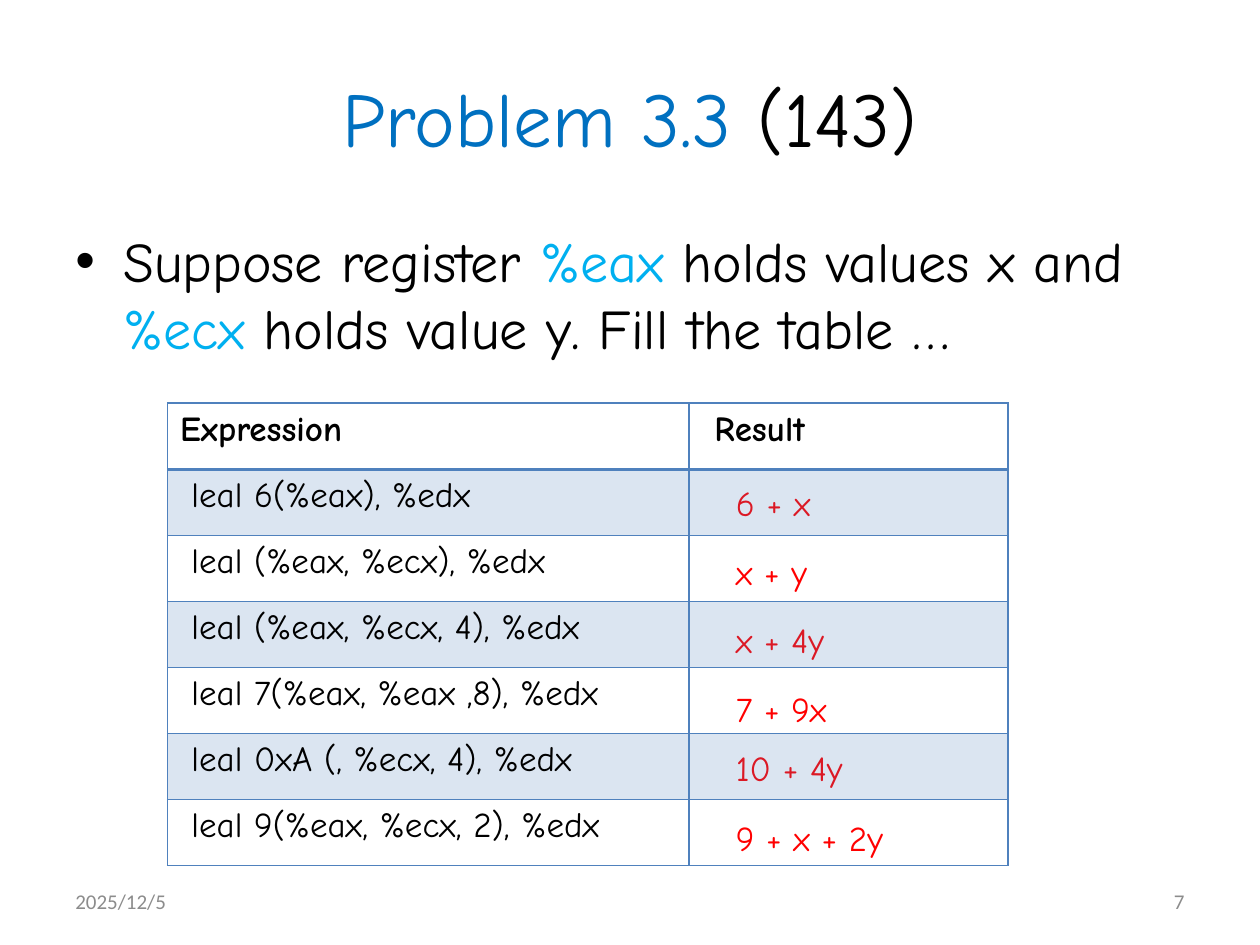
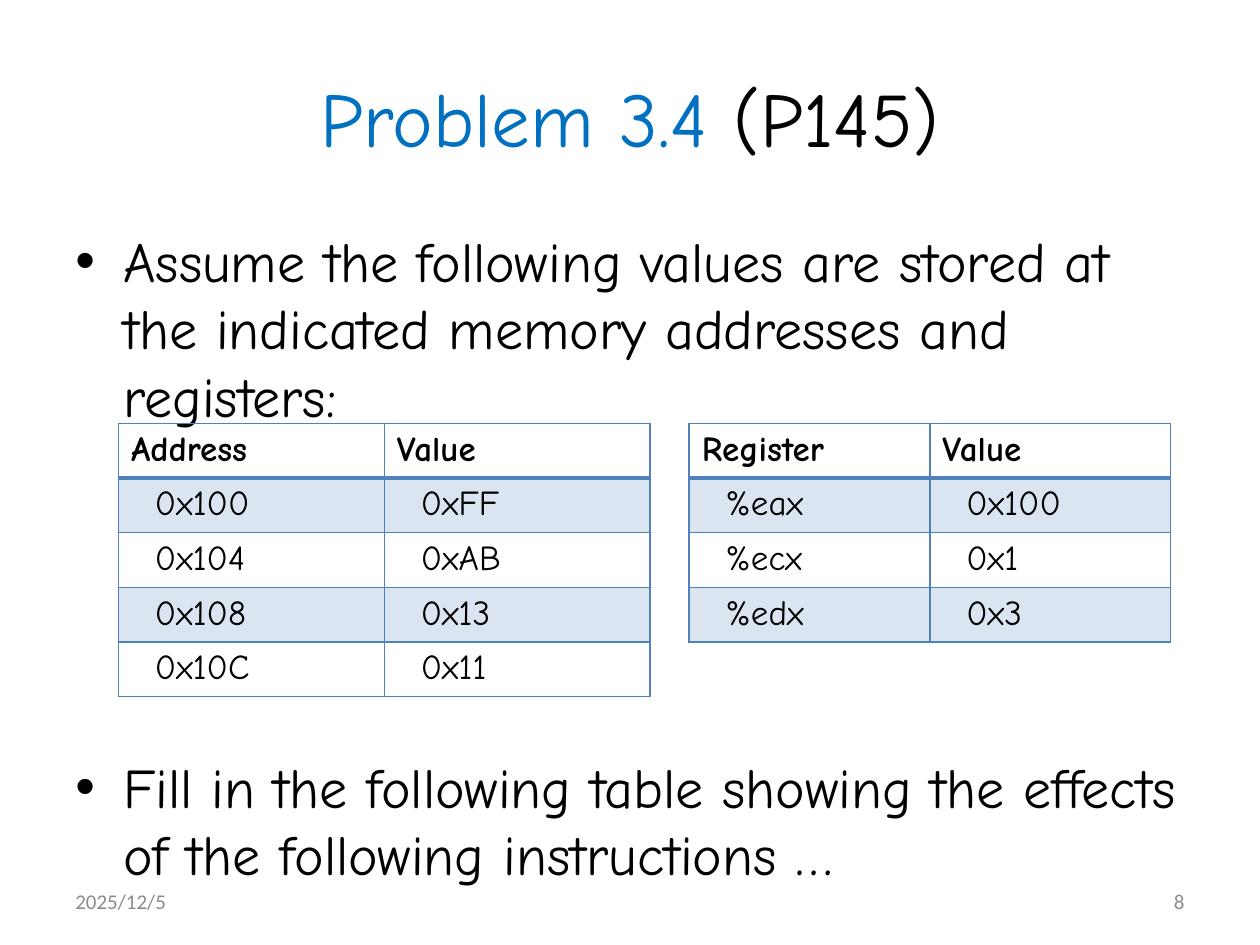
import dataclasses

import lxml.etree
import pptx
import pptx.dml.color
import pptx.enum.shapes
import pptx.enum.text
import pptx.oxml.ns
import pptx.util

Inches = pptx.util.Inches
Pt = pptx.util.Pt
PP_ALIGN = pptx.enum.text.PP_ALIGN
ANCHOR = pptx.enum.text.MSO_ANCHOR


@dataclasses.dataclass(frozen=True)
class Theme:
    font: str = "Comic Neue"
    footer_font: str = "Calibri"
    ink: str = "000000"
    paper: str = "FFFFFF"
    heading: str = "0070C0"
    register: str = "00B0F0"
    answer: str = "FF0000"
    footer: str = "8C8C8C"
    grid: str = "4F81BD"
    band_alpha: int = 20
    title_size: int = 44
    body_size: int = 32
    table_size: int = 20
    footer_size: int = 12


THEME = Theme()
DATE = "2025/12/5"
BULLET_INDENT = 0.38
CELL_MARGIN = 0.1


def rgb(code):
    return pptx.dml.color.RGBColor.from_string(code)


def add_run(paragraph, text, size, color=THEME.ink, font=THEME.font, bold=False):
    run = paragraph.add_run()
    run.text = text
    run.font.name = font
    run.font.size = Pt(size)
    run.font.bold = bold
    run.font.color.rgb = rgb(color)


def add_child(parent, tag, **attributes):
    child = lxml.etree.SubElement(parent, pptx.oxml.ns.qn(tag))
    for name, value in attributes.items():
        child.set(name, str(value))
    return child


def add_title(slide, heading, page_reference):
    title = slide.shapes.title
    title.left, title.top = Inches(0.5), Inches(0.3)
    title.width, title.height = Inches(9), Inches(1.25)
    frame = title.text_frame
    frame.auto_size = pptx.enum.text.MSO_AUTO_SIZE.NONE
    frame.vertical_anchor = ANCHOR.MIDDLE
    paragraph = frame.paragraphs[0]
    paragraph.alignment = PP_ALIGN.CENTER
    add_run(paragraph, heading + " ", THEME.title_size, THEME.heading)
    add_run(paragraph, page_reference, THEME.title_size)


def add_text_frame(slide, left, top, width, height):
    box = slide.shapes.add_textbox(
        Inches(left), Inches(top), Inches(width), Inches(height))
    box.text_frame.word_wrap = True
    return box.text_frame


def add_bullets(slide, height, bullets):
    """Each bullet is (space before in points, [(text, colour), ...])."""
    frame = add_text_frame(slide, 0.5, 1.75, 9, height)
    for index, (space_before, pieces) in enumerate(bullets):
        paragraph = frame.add_paragraph() if index else frame.paragraphs[0]
        paragraph.space_before = Pt(space_before)
        for text, color in pieces:
            add_run(paragraph, text, THEME.body_size, color)
        properties = paragraph._p.get_or_add_pPr()
        properties.set("marL", str(Inches(BULLET_INDENT)))
        properties.set("indent", str(-Inches(BULLET_INDENT)))
        add_child(properties, "a:buFont", typeface="Arial")
        add_child(properties, "a:buChar", char="•")


def add_footer(slide, page_number):
    for left, text, alignment in ((0.5, DATE, PP_ALIGN.LEFT),
                                  (7.17, page_number, PP_ALIGN.RIGHT)):
        frame = add_text_frame(slide, left, 6.95, 2.33, 0.4)
        frame.vertical_anchor = ANCHOR.MIDDLE
        paragraph = frame.paragraphs[0]
        paragraph.alignment = alignment
        add_run(paragraph, text, THEME.footer_size, THEME.footer, THEME.footer_font)


def add_answer(slide, top, text):
    """Place an answer card, to be seen through the table laid over it."""
    card = slide.shapes.add_shape(
        pptx.enum.shapes.MSO_SHAPE.RECTANGLE,
        Inches(5.55), Inches(top), Inches(2.42), Inches(0.47))
    card.shadow.inherit = False
    card.fill.solid()
    card.fill.fore_color.rgb = rgb(THEME.paper)
    card.line.color.rgb = rgb(THEME.paper)
    card.line.width = Pt(2)
    frame = card.text_frame
    frame.margin_left = Inches(0.29)
    frame.vertical_anchor = ANCHOR.MIDDLE
    paragraph = frame.paragraphs[0]
    paragraph.alignment = PP_ALIGN.LEFT
    add_run(paragraph, text, THEME.table_size, THEME.answer)


def style_cell(cell, row):
    """Draw the grid lines, then tint the odd rows and leave the rest clear."""
    properties = cell._tc.get_or_add_tcPr()
    for side in "LRTB":
        heavy = (side == "B" and row == 0) or (side == "T" and row == 1)
        line = add_child(properties, f"a:ln{side}", w=Pt(2 if heavy else 1))
        add_child(add_child(line, "a:solidFill"), "a:srgbClr", val=THEME.grid)
    if row % 2:
        cell.fill.solid()
        cell.fill.fore_color.rgb = rgb(THEME.grid)
        tint = properties.find(
            pptx.oxml.ns.qn("a:solidFill") + "/" + pptx.oxml.ns.qn("a:srgbClr"))
        add_child(tint, "a:alpha", val=THEME.band_alpha * 1000)
    else:
        cell.fill.background()


def add_grid(slide, left, top, widths, row_height, rows, indent, header_indents=(0, 0)):
    table = slide.shapes.add_table(
        len(rows), len(widths), Inches(left), Inches(top),
        Inches(sum(widths)), Inches(row_height * len(rows))).table
    table.first_row = table.horz_banding = False
    for column, width in zip(table.columns, widths):
        column.width = Inches(width)
    for row, texts in enumerate(rows):
        table.rows[row].height = Inches(row_height)
        for column, text in enumerate(texts):
            cell = table.cell(row, column)
            style_cell(cell, row)
            shift = indent if row else header_indents[column]
            cell.margin_left = Inches(CELL_MARGIN + shift)
            if text:
                add_run(cell.text_frame.paragraphs[0], text,
                        THEME.table_size, bold=row == 0)


def add_problem_slide(deck, heading, page_reference, page_number):
    slide = deck.slides.add_slide(deck.slide_layouts[5])
    add_title(slide, heading, page_reference)
    add_footer(slide, page_number)
    return slide


def build_expressions(deck):
    slide = add_problem_slide(deck, "Problem 3.3", "(143)", "7")
    add_bullets(slide, 4.95, [(6.4, [
        ("Suppose register ", THEME.ink),
        ("%eax ", THEME.register),
        ("holds values x and ", THEME.ink),
        ("%ecx ", THEME.register),
        ("holds value y. Fill the table …", THEME.ink),
    ])])
    exercises = [
        ("leal 6(%eax), %edx", 3.75, "6 + x"),
        ("leal (%eax, %ecx), %edx", 4.3, "x + y"),
        ("leal (%eax, %ecx, 4), %edx", 4.84, "x + 4y"),
        ("leal 7(%eax, %eax ,8), %edx", 5.39, "7 + 9x"),
        ("leal 0xA (, %ecx, 4), %edx", 5.86, "10 + 4y"),
        ("leal 9(%eax, %ecx, 2), %edx", 6.41, "9 + x + 2y"),
    ]
    for _, top, answer in reversed(exercises):
        add_answer(slide, top, answer)
    rows = [("Expression", "Result")]
    rows += [(expression, "") for expression, _, _ in exercises]
    add_grid(slide, 1.33, 3.2, (4.14, 2.53), 3.67 / len(rows), rows, 0.09, (0, 0.1))


def build_memory(deck):
    slide = add_problem_slide(deck, "Problem 3.4", "(P145)", "8")
    add_bullets(slide, 5.13, [
        (6.4, [("Assume the following values are stored at the indicated "
                "memory addresses and registers:", THEME.ink)]),
        (185, [("Fill in the following table showing the effects of the "
                "following instructions …", THEME.ink)]),
    ])
    memory = [("Address", "Value"), ("0x100", "0xFF"), ("0x104", "0xAB"),
              ("0x108", "0x13"), ("0x10C", "0x11")]
    registers = [("Register", "Value"), ("%eax", "0x100"),
                 ("%ecx", "0x1"), ("%edx", "0x3")]
    for left, width, rows in ((0.94, 2.11, memory), (5.47, 1.91, registers)):
        add_grid(slide, left, 3.36, (width, width), 0.42, rows, 0.19)


def main():
    deck = pptx.Presentation()
    deck.slide_width, deck.slide_height = Inches(10), Inches(7.5)
    build_expressions(deck)
    build_memory(deck)
    deck.save("out.pptx")


if __name__ == "__main__":
    main()
